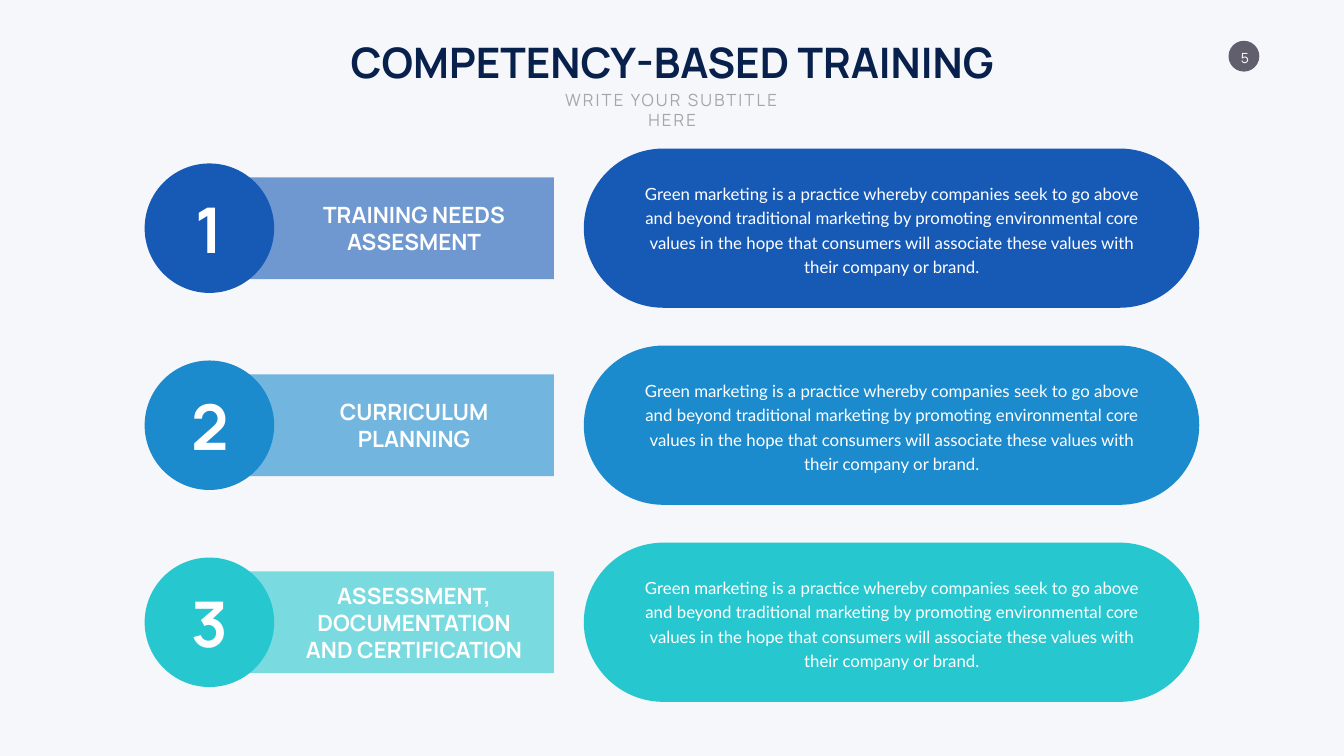
from dataclasses import dataclass

from lxml.etree import SubElement
from pptx import Presentation
from pptx.dml.color import RGBColor
from pptx.enum.shapes import MSO_SHAPE
from pptx.enum.text import MSO_ANCHOR, PP_ALIGN
from pptx.oxml.ns import qn
from pptx.util import Pt


@dataclass(frozen=True)
class Theme:
    background: str = "F6F7FA"
    title: str = "08204C"
    subtitle: str = "A6A6A6"
    badge: str = "615F6D"
    light: str = "FFFFFF"
    heading_font: str = "Manrope"
    body_font: str = "Lato"
    title_size: int = 60
    subtitle_size: int = 24
    number_size: int = 90
    label_size: int = 32
    body_size: int = 24
    page_number_size: int = 20


THEME = Theme()
FIRST_CENTRE = 326
ROW_STEP = 281.5
BODY = (
    "Green marketing is a practice whereby companies seek to go above and "
    "beyond traditional marketing by promoting environmental core values in "
    "the hope that consumers will associate these values with their company "
    "or brand."
)
STEPS = [
    ("TRAINING NEEDS ASSESMENT", "165AB6"),
    ("CURRICULUM PLANNING", "1B8BCD"),
    ("ASSESSMENT, DOCUMENTATION AND CERTIFICATION", "27C7CF"),
]


def add_block(page, kind, left, top, width, height, color, opacity=100):
    shape = page.shapes.add_shape(kind, Pt(left), Pt(top), Pt(width), Pt(height))
    shape.shadow.inherit = False
    shape.fill.solid()
    shape.fill.fore_color.rgb = RGBColor.from_string(color)
    shape.line.fill.background()
    if opacity < 100:
        rgb = shape.fill._xPr.find(".//" + qn("a:srgbClr"))
        SubElement(rgb, qn("a:alpha"), val=str(opacity * 1000))
    return shape


def add_text(page, text, left, top, width, height, size, color=THEME.light,
             font=THEME.heading_font, bold=False, wrap=True,
             anchor=MSO_ANCHOR.MIDDLE, line_spacing=None, tracking=None):
    box = page.shapes.add_textbox(Pt(left), Pt(top), Pt(width), Pt(height))
    frame = box.text_frame
    frame.word_wrap = wrap
    frame.vertical_anchor = anchor
    para = frame.paragraphs[0]
    para.alignment = PP_ALIGN.CENTER
    if line_spacing:
        para.line_spacing = Pt(line_spacing)
    span = para.add_run()
    span.text = text
    span.font.name = font
    span.font.size = Pt(size)
    span.font.bold = bold
    span.font.color.rgb = RGBColor.from_string(color)
    if tracking:
        span.font._element.set("spc", str(tracking * 100))
    return box


def add_header(page):
    add_text(page, "COMPETENCY-BASED TRAINING", 472, 48, 976, 80,
             THEME.title_size, THEME.title, bold=True, wrap=False,
             anchor=MSO_ANCHOR.TOP)
    add_text(page, "WRITE YOUR SUBTITLE HERE", 764.5, 124, 391, 36,
             THEME.subtitle_size, THEME.subtitle, anchor=MSO_ANCHOR.TOP,
             tracking=3)


def add_page_number(page):
    add_block(page, MSO_SHAPE.OVAL, 1754.6, 58.3, 44, 44, THEME.badge)
    box = add_text(page, "5", 1763.3, 69.8, 29.5, 24.5,
                   THEME.page_number_size, wrap=False)
    frame = box.text_frame
    frame.margin_left = frame.margin_right = Pt(0)
    frame.margin_top = frame.margin_bottom = Pt(0)


def add_step(page, number, label, color, centre):
    # Banner with the numbered circle over its left end
    add_block(page, MSO_SHAPE.RECTANGLE, 321.8, centre - 72.7, 469.4, 145.4,
              color, opacity=60)
    add_block(page, MSO_SHAPE.OVAL, 206.6, centre - 92.5, 185, 185, color)
    add_text(page, str(number), 264.6, centre - 58, 70, 116,
             THEME.number_size, bold=True, wrap=False)
    add_text(page, label, 417.6, centre - 62, 347.8, 124,
             THEME.label_size, bold=True)

    # Description pill
    pill = add_block(page, MSO_SHAPE.ROUNDED_RECTANGLE, 833.8, centre - 113.8,
                     879, 227.5, color)
    pill.adjustments[0] = 0.5
    add_text(page, BODY, 903.6, centre - 72.5, 740, 145, THEME.body_size,
             font=THEME.body_font, line_spacing=35)


def main():
    deck = Presentation()
    deck.slide_width = Pt(1919.52)
    deck.slide_height = Pt(1080)
    page = deck.slides.add_slide(deck.slide_layouts[6])
    page.background.fill.solid()
    page.background.fill.fore_color.rgb = RGBColor.from_string(THEME.background)

    add_page_number(page)
    add_header(page)
    for index, (label, color) in enumerate(STEPS):
        add_step(page, index + 1, label, color, FIRST_CENTRE + index * ROW_STEP)

    deck.save("out.pptx")


if __name__ == "__main__":
    main()
